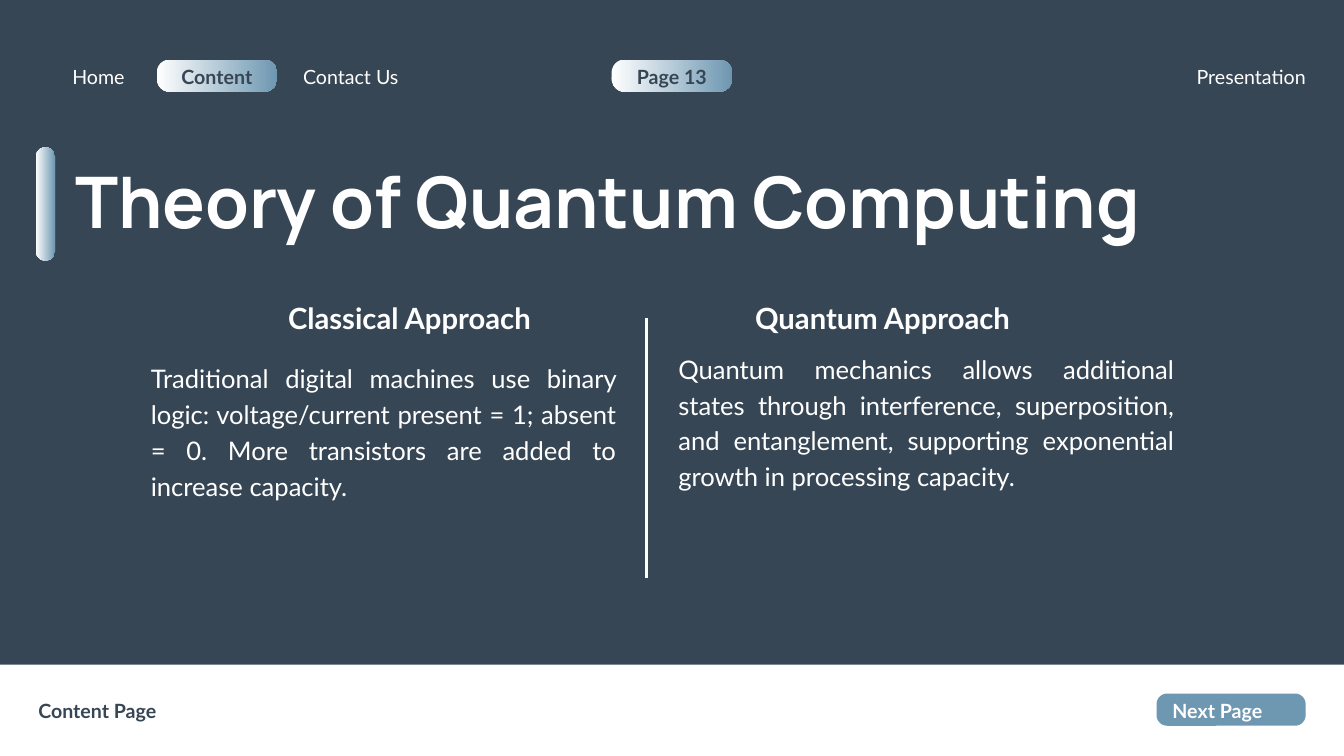
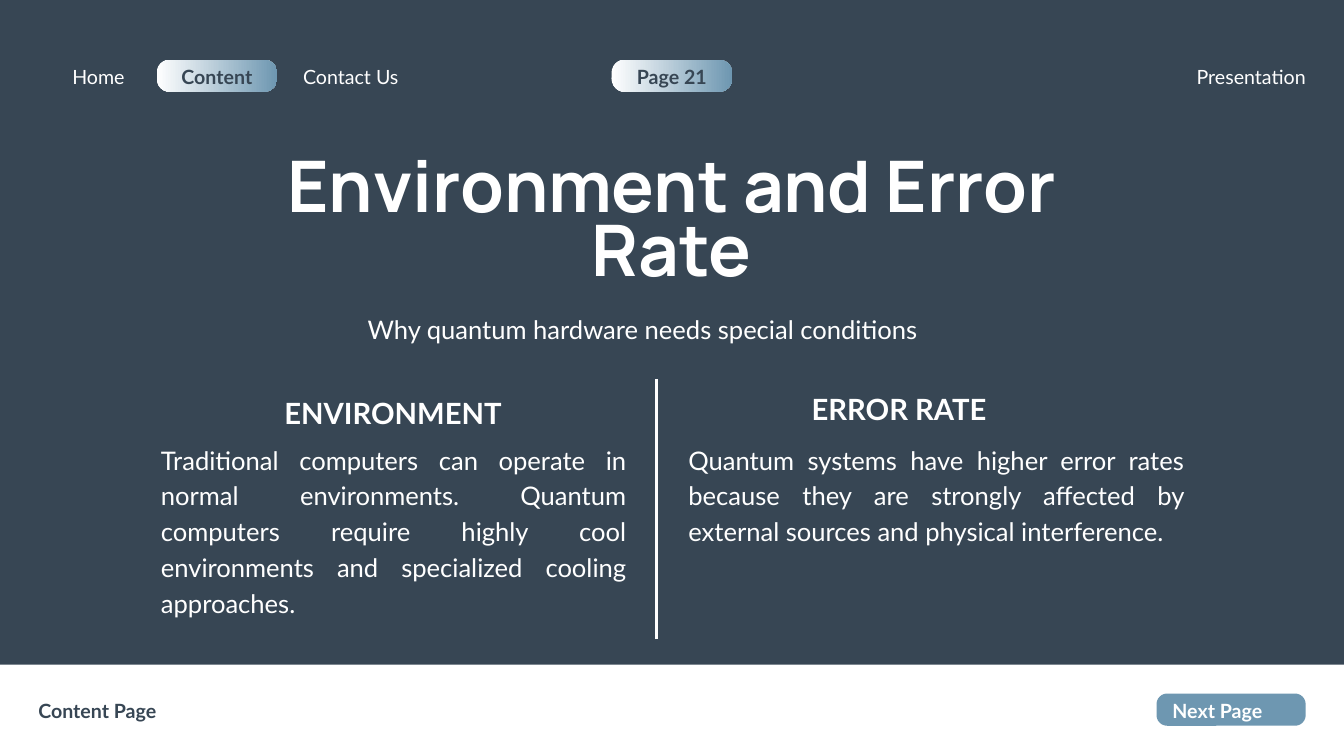
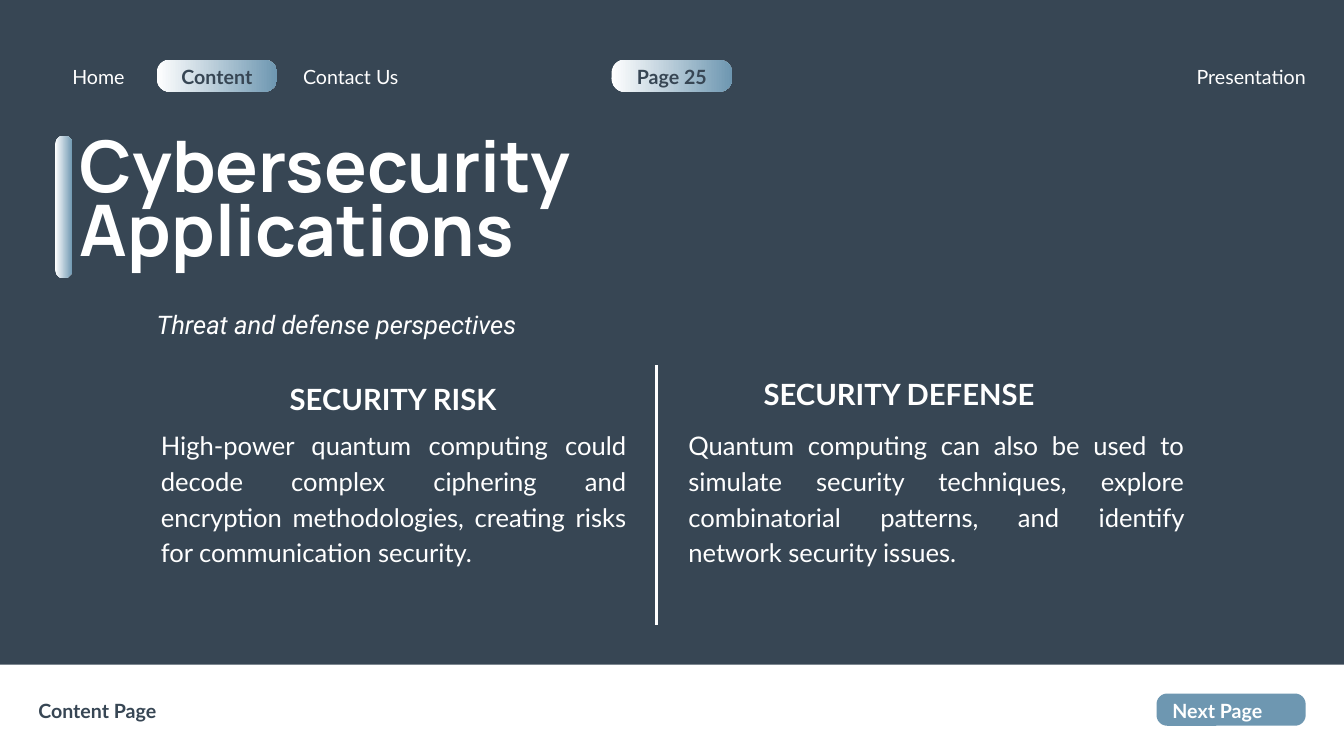
from lxml.etree import SubElement
from pptx import Presentation
from pptx.dml.color import RGBColor
from pptx.enum.shapes import MSO_CONNECTOR, MSO_SHAPE
from pptx.enum.text import MSO_AUTO_SIZE, PP_ALIGN
from pptx.oxml.ns import qn
from pptx.util import Inches, Pt

COLORS = {"navy": "374654", "white": "FFFFFF", "steel": "6E97B1"}
GRADIENT = ("white", "steel")
STYLES = {
    "nav": {"size": 21, "leading": 29.4, "name": "Lato"},
    "nav_bold": {"size": 21, "leading": 29.4, "name": "Lato", "bold": True},
    "title": {"size": 76.2, "leading": 68.5, "name": "Manrope", "bold": True},
    "heading": {"size": 31.3, "leading": 37.5, "name": "Lato", "bold": True},
    "body": {"size": 27.4, "leading": 38.3, "name": "Lato"},
    "note": {"size": 27.4, "leading": 38.3, "name": "Roboto", "italic": True},
}
LEFT, CENTER = PP_ALIGN.LEFT, PP_ALIGN.CENTER
RIGHT, JUSTIFY = PP_ALIGN.RIGHT, PP_ALIGN.JUSTIFY
COLS, ROWS = 80, 45
NAV_ROW, FOOT_ROW, LABEL_H = 3.64, 41.36, 1.56
DIVIDER_H = 15.48
BODY_SIDES = ((-29.5, 27.68), (1.9, 29.48))


def rgb(color):
    return RGBColor.from_string(COLORS[color])


class Deck:
    def __init__(self):
        self.prs = Presentation()
        self.prs.slide_width, self.prs.slide_height = Inches(20), Inches(11.25)
        self.s = None

    def at(self, col, row):
        return (round(self.prs.slide_width * col / COLS),
                round(self.prs.slide_height * row / ROWS))

    def paint(self, fill, color):
        if color == GRADIENT:
            fill.gradient()
            fill.gradient_angle = 0
            for stop, name in zip(fill.gradient_stops, color):
                stop.color.rgb = rgb(name)
        else:
            fill.solid()
            fill.fore_color.rgb = rgb(color)

    def box(self, col, row, w, h, color, radius=0):
        kind = MSO_SHAPE.ROUNDED_RECTANGLE if radius else MSO_SHAPE.RECTANGLE
        sp = self.s.shapes.add_shape(kind, *self.at(col, row), *self.at(w, h))
        if radius:
            sp.adjustments[0] = radius
        sp.shadow.inherit = False
        sp.line.fill.background()
        self.paint(sp.fill, color)

    def text(self, text, col, row, w, h, style, align=LEFT, color="white"):
        sp = self.s.shapes.add_textbox(*self.at(col, row), *self.at(w, h))
        tf = sp.text_frame
        frame = {"word_wrap": True, "auto_size": MSO_AUTO_SIZE.SHAPE_TO_FIT_TEXT,
                 "margin_left": 0, "margin_top": 0, "margin_right": 0, "margin_bottom": 0}
        for key, value in frame.items():
            setattr(tf, key, value)
        fmt = dict(STYLES[style])
        p = tf.paragraphs[0]
        p.alignment, p.line_spacing = align, Pt(fmt.pop("leading"))
        r = p.add_run()
        r.text = text
        fmt["size"] = Pt(fmt["size"])
        for key, value in fmt.items():
            setattr(r.font, key, value)
        self.paint(r.font.fill, color)

    def pill(self, text, col):
        self.box(col, 3.56, 7.18, 1.9, GRADIENT, 0.41)
        self.text(text, col + 1.02, NAV_ROW, 5.14, LABEL_H, "nav_bold", CENTER, "navy")

    def divider(self, col, row):
        c = self.s.shapes.add_connector(
            MSO_CONNECTOR.STRAIGHT, *self.at(col, row + DIVIDER_H), *self.at(col, row))
        c.line.width = Pt(3.75)
        c.line.color.rgb = rgb("white")
        SubElement(c._element.spPr, qn("a:effectLst"))

    def page(self, number):
        self.s = self.prs.slides.add_slide(self.prs.slide_layouts[6])
        self.paint(self.s.background.fill, "navy")
        self.pill(f"Page {number}", 36.4)
        self.pill("Content", 9.32)
        for label, col, w, align in (("Home", 3.28, 5.16, CENTER),
                                     ("Contact Us", 17.36, 7.04, CENTER),
                                     ("Presentation", 58.8, 18.92, RIGHT)):
            self.text(label, col, NAV_ROW, w, LABEL_H, "nav", align)
        self.box(0, 39.56, COLS, ROWS - 39.56, "white")
        self.box(68.84, 41.28, 8.88, 1.92, "steel", 0.33)
        self.text("Next Page", 69.48, FOOT_ROW, 5.96, LABEL_H, "nav_bold", CENTER)
        self.text("Content Page", 2.28, FOOT_ROW, 9.08, LABEL_H, "nav_bold", color="navy")

    def title(self, text, col, row, w, h, align=LEFT, bar=None):
        if bar:
            self.box(*bar, GRADIENT, 0.5)
        self.text(text, col, row, w, h, "title", align, GRADIENT)

    def comparison(self, col, row, heads, bodies):
        self.divider(col, row)
        for text, dx, dy, w in heads:
            self.text(text, col + dx, row + dy, w, 2.08, "heading", CENTER)
        for (text, dy, h), (dx, w) in zip(bodies, BODY_SIDES):
            self.text(text, col + dx, row + dy, w, h, "body", JUSTIFY)

    def paired_comparison(self, row, heads, bodies, heights):
        self.comparison(
            39.08, row,
            ((heads[0], -25.4, 1, 19.44), (heads[1], 5.24, 0.72, 18.4)),
            [(text, 3.6, h) for text, h in zip(bodies, heights)])


def main():
    deck = Deck()

    deck.page(13)
    deck.title("Theory of Quantum Computing", 4.48, 10.64, 69.96, 4.44,
               bar=(2.12, 8.76, 1.16, 6.76))
    deck.comparison(
        38.48, 18.92,
        (("Classical Approach", -22.84, -1.04, 17.48),
         ("Quantum Approach", 5.32, -1.04, 17.48)),
        (("Traditional digital machines use binary logic: voltage/current present = 1; "
          "absent = 0. More transistors are added to increase capacity.", 2.4, 10.52),
         ("Quantum mechanics allows additional states through interference, superposition, "
          "and entanglement, supporting exponential growth in processing capacity.",
          1.84, 12.64)))

    deck.page(21)
    deck.title("Environment and Error Rate", 12, 9.68, 55.96, 12, CENTER)
    deck.paired_comparison(
        22.56, ("ENVIRONMENT", "ERROR RATE"),
        ("Traditional computers can operate in normal environments. Quantum computers "
         "require highly cool environments and specialized cooling approaches.",
         "Quantum systems have higher error rates because they are strongly affected by "
         "external sources and physical interference."), (10.52, 8.4))
    deck.text("Why quantum hardware needs special conditions",
              21.88, 18.4, 36.24, 4.16, "body", JUSTIFY)

    deck.page(25)
    deck.title("Cybersecurity Applications", 4.76, 8.52, 40.4, 8.2,
               bar=(3.28, 8.08, 1.04, 8.48))
    deck.paired_comparison(
        21.7, ("SECURITY RISK", "SECURITY DEFENSE"),
        ("High-power quantum computing could decode complex ciphering and encryption "
         "methodologies, creating risks for communication security.",
         "Quantum computing can also be used to simulate security techniques, explore "
         "combinatorial patterns, and identify network security issues."), (10.52, 10.52))
    deck.text("Threat and defense perspectives", 9.32, 18.08, 36.24, 2.04, "note", JUSTIFY)

    deck.prs.save("out.pptx")


if __name__ == "__main__":
    main()
